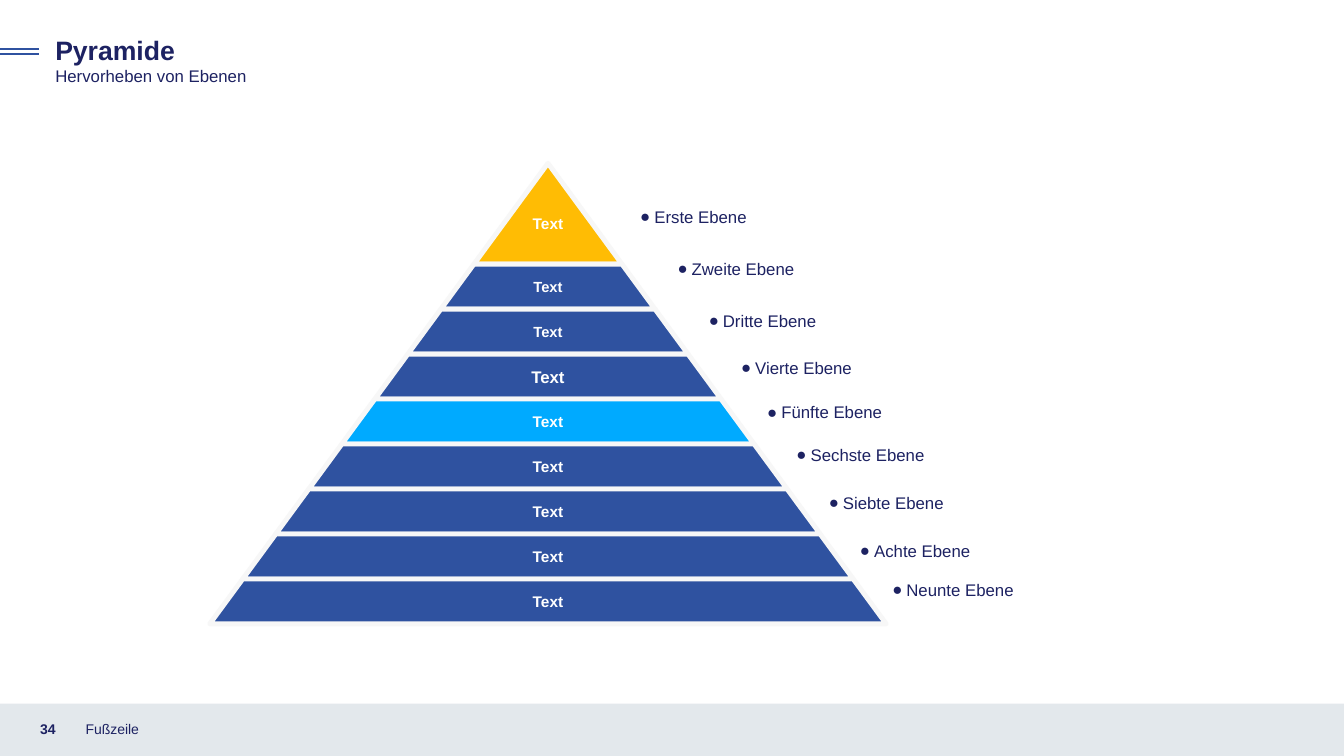
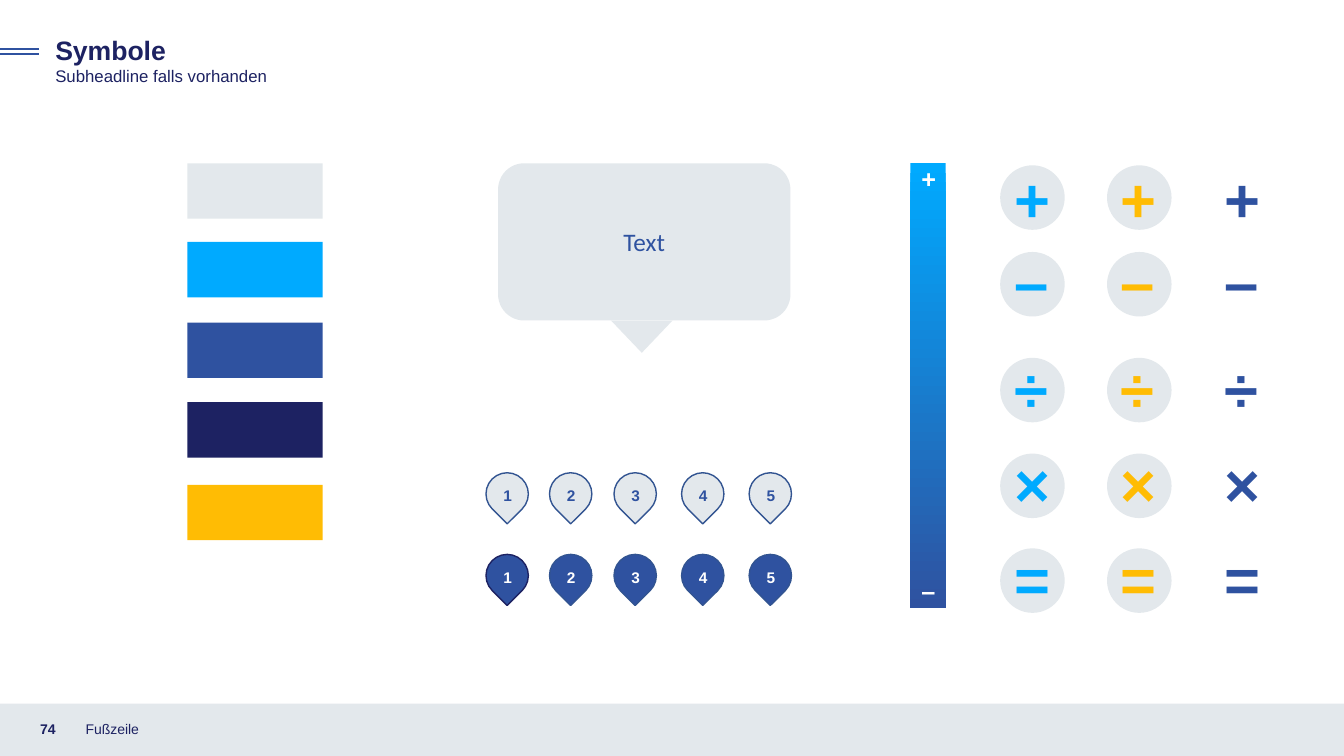
from dataclasses import dataclass

from lxml.etree import SubElement
from pptx import Presentation
from pptx.dml.color import RGBColor
from pptx.enum.shapes import MSO_CONNECTOR, MSO_SHAPE
from pptx.enum.text import MSO_ANCHOR, PP_ALIGN
from pptx.oxml.ns import qn
from pptx.util import Inches, Pt

COLORS = {
    "navy": "1D2262",
    "blue": "2F52A0",
    "outline": "325491",
    "cyan": "00AAFF",
    "yellow": "FFBC04",
    "grey": "E3E8EC",
    "pale": "F7F7F7",
    "white": "FFFFFF",
}
FONT = "Arial"
INSETS = (0.1, 0.05, 0.1, 0.05)


@dataclass
class Box:
    left: float
    top: float
    width: float
    height: float

    def area(self, x, y, width, height):
        """Return a box whose corner lies x, y inside this one."""
        return Box(self.left + x, self.top + y, width, height)

    def lengths(self):
        return [Inches(n) for n in (self.left, self.top, self.width, self.height)]


SLIDE = Box(0, 0, 13.33, 7.5)


def color(name):
    return RGBColor.from_string(COLORS[name])


def style_shape(shape, fill, line=None, line_width=1):
    shape.shadow.inherit = False
    if fill:
        shape.fill.solid()
        shape.fill.fore_color.rgb = color(fill)
    if line:
        shape.line.color.rgb = color(line)
        shape.line.width = Pt(line_width)
    else:
        shape.line.fill.background()


def add_shape(slide, kind, box, fill, line=None, rotation=0):
    shape = slide.shapes.add_shape(kind, *box.lengths())
    style_shape(shape, fill, line)
    shape.rotation = rotation
    return shape


def write(shape, text, size, text_color, bold=False, align=PP_ALIGN.LEFT,
          anchor=MSO_ANCHOR.TOP, insets=INSETS, wrap=True, font=FONT):
    frame = shape.text_frame
    frame.text = text
    frame.word_wrap = wrap
    frame.vertical_anchor = anchor
    (frame.margin_left, frame.margin_top,
     frame.margin_right, frame.margin_bottom) = [Inches(n) for n in insets]
    paragraph = frame.paragraphs[0]
    paragraph.alignment = align
    run_font = paragraph.runs[0].font
    run_font.name = font
    run_font.size = Pt(size)
    run_font.bold = bold
    run_font.color.rgb = color(text_color)


def add_text(slide, box, text, size, text_color="navy", **options):
    shape = slide.shapes.add_textbox(*box.lengths())
    write(shape, text, size, text_color, **options)
    return shape


def add_bullet(paragraph, indent=0.14):
    properties = paragraph._p.get_or_add_pPr()
    properties.set("marL", str(Inches(indent)))
    properties.set("indent", str(-Inches(indent)))
    SubElement(properties, qn("a:buFont"), typeface=FONT)
    SubElement(properties, qn("a:buChar"), char="●")


def add_rule(slide, y, length):
    rule = slide.shapes.add_connector(
        MSO_CONNECTOR.STRAIGHT, 0, Inches(y), Inches(length), Inches(y))
    rule.line.color.rgb = color("blue")
    rule.line.width = Pt(1.5)
    SubElement(rule._element.spPr, qn("a:effectLst"))


def add_header(slide, box, title, subtitle):
    for y in (0.2, 0.25):
        add_rule(slide, box.top + y, 0.39)
    add_text(slide, box.area(0, 0, box.width, 0.42), title, 19, bold=True)
    add_text(slide, box.area(0, 0.31, box.width, 0.3), subtitle, 12)


def add_footer(slide, box, number):
    add_shape(slide, MSO_SHAPE.RECTANGLE, box, "grey")
    add_text(slide, box.area(0.3, 0.05, 0.45, 0.4), number, 10,
             bold=True, anchor=MSO_ANCHOR.MIDDLE)
    add_text(slide, box.area(0.75, 0.05, 4.5, 0.4), "Fußzeile", 10,
             anchor=MSO_ANCHOR.MIDDLE)


def new_slide(presentation, title, subtitle, number):
    slide = presentation.slides.add_slide(presentation.slide_layouts[6])
    add_footer(slide, SLIDE.area(0, 6.98, SLIDE.width, 0.55), number)
    add_header(slide, SLIDE.area(0.45, 0.29, 7.72, 0.61), title, subtitle)
    return slide


def add_pyramid(slide, box, levels, peak_height=1):
    """Stack levels of (fill, text size) under a peak, top first."""
    center = box.left + box.width / 2
    row_height = (box.height - peak_height) / (len(levels) - 1)
    bounds = [0] + [peak_height + row_height * row for row in range(len(levels))]
    for (fill, size), upper, lower in zip(levels, bounds, bounds[1:]):
        upper_half, lower_half = (box.width / 2 * y / box.height
                                  for y in (upper, lower))
        corners = [(center - lower_half, lower), (center + lower_half, lower),
                   (center + upper_half, upper)]
        if upper:
            corners.append((center - upper_half, upper))
        points = [(Inches(x), Inches(box.top + y)) for x, y in corners]
        builder = slide.shapes.build_freeform(*points[0])
        builder.add_line_segments(points[1:], close=True)
        level = builder.convert_to_shape()
        style_shape(level, fill, "pale", 3.5)
        write(level, "Text", size, "white", bold=True, align=PP_ALIGN.CENTER,
              anchor=MSO_ANCHOR.MIDDLE,
              insets=(0.08, 0 if upper else 0.2, 0.08, 0))


def add_level_labels(slide, box, labels):
    for text, x, y in labels:
        shape = add_text(slide, box.area(x, y, 2.5, 0.2), text, 12,
                         insets=(0, 0, 0, 0))
        add_bullet(shape.text_frame.paragraphs[0])


def add_swatches(slide, box):
    fills = ("grey", "cyan", "blue", "navy", "yellow")
    for fill, y in zip(fills, (0, 0.78, 1.58, 2.37, 3.19)):
        add_shape(slide, MSO_SHAPE.RECTANGLE,
                  box.area(0, y, box.width, 0.55), fill)


def add_speech_bubble(slide, box, tip_height=0.32):
    body_height = box.height - tip_height
    bubble = add_shape(slide, MSO_SHAPE.ROUNDED_RECTANGLE,
                       box.area(0, 0, box.width, body_height), "grey")
    write(bubble, "Text", 18, "blue", align=PP_ALIGN.CENTER,
          anchor=MSO_ANCHOR.MIDDLE, font="Calibri")
    add_shape(slide, MSO_SHAPE.ISOSCELES_TRIANGLE,
              box.area(1.12, body_height, 0.61, tip_height), "grey", rotation=180)


def add_pins(slide, box, fill, text_color, first_line="outline"):
    size = box.height
    for number, x in enumerate((0, 0.63, 1.27, 1.94, 2.61), start=1):
        pin = box.area(x, 0, size, size)
        add_shape(slide, MSO_SHAPE.TEAR, pin, fill,
                  first_line if number == 1 else "outline", rotation=135)
        add_text(slide, pin.area(0.07, 0.08, 0.29, 0.29), str(number), 11,
                 text_color, bold=True, align=PP_ALIGN.CENTER,
                 anchor=MSO_ANCHOR.MIDDLE, wrap=False)


def add_scale(slide, box):
    bar = add_shape(slide, MSO_SHAPE.DOUBLE_BRACKET, box, None)
    bar.adjustments[0] = 0
    bar.fill.gradient()
    bar.fill.gradient_angle = 270
    for stop, name in zip(bar.fill.gradient_stops, ("cyan", "blue")):
        stop.color.rgb = color(name)
    for sign, y in (("+", -0.05), ("–", box.height - 0.37)):
        add_text(slide, box.area(0.01, y, 0.31, 0.4), sign, 18, "white", bold=True)


def add_signs(slide, box):
    columns = ((0, "cyan", True), (1.06, "yellow", True), (2.09, "blue", False))
    rows = (("+", 0, -0.09), ("–", 0.86, 0.72), ("÷", 1.91, 1.79),
            ("×", 2.86, 2.73), ("=", 3.8, 3.68))
    for x, sign_color, has_disc in columns:
        for sign, disc_top, text_top in rows:
            if has_disc:
                add_shape(slide, MSO_SHAPE.OVAL,
                          box.area(x, disc_top, 0.64, 0.64), "grey")
            add_text(slide, box.area(x + 0.04, text_top, 0.56, 0.84), sign, 44,
                     sign_color, bold=True, wrap=False)


def build_pyramid_slide(presentation):
    slide = new_slide(presentation, "Pyramide", "Hervorheben von Ebenen", "34")
    levels = [("yellow", 11), ("blue", 10.5), ("blue", 10.5), ("blue", 12),
              ("cyan", 11)] + [("blue", 11)] * 4
    add_pyramid(slide, SLIDE.area(2.08, 1.62, 6.71, 4.57), levels)
    labels = (
        ("Erste Ebene", 0, 0),
        ("Zweite Ebene", 0.37, 0.52),
        ("Dritte Ebene", 0.68, 1.03),
        ("Vierte Ebene", 1, 1.5),
        ("Fünfte Ebene", 1.26, 1.94),
        ("Sechste Ebene", 1.55, 2.36),
        ("Siebte Ebene", 1.87, 2.84),
        ("Achte Ebene", 2.18, 3.31),
        ("Neunte Ebene", 2.5, 3.7),
    )
    add_level_labels(slide, SLIDE.area(6.35, 2.05, 5, 3.9), labels)


def build_symbols_slide(presentation):
    slide = new_slide(presentation, "Symbole", "Subheadline falls vorhanden", "74")
    add_swatches(slide, SLIDE.area(1.86, 1.62, 1.34, 3.74))
    add_speech_bubble(slide, SLIDE.area(4.94, 1.62, 2.9, 1.88))
    add_pins(slide, SLIDE.area(4.82, 4.69, 3.03, 0.42), "grey", "blue")
    add_pins(slide, SLIDE.area(4.82, 5.5, 3.03, 0.42), "blue", "white", "navy")
    add_scale(slide, SLIDE.area(9.03, 1.62, 0.35, 4.41))
    add_signs(slide, SLIDE.area(9.92, 1.64, 2.73, 4.44))


def main():
    presentation = Presentation()
    presentation.slide_width = Inches(SLIDE.width)
    presentation.slide_height = Inches(SLIDE.height)
    build_pyramid_slide(presentation)
    build_symbols_slide(presentation)
    presentation.save("out.pptx")


if __name__ == "__main__":
    main()
